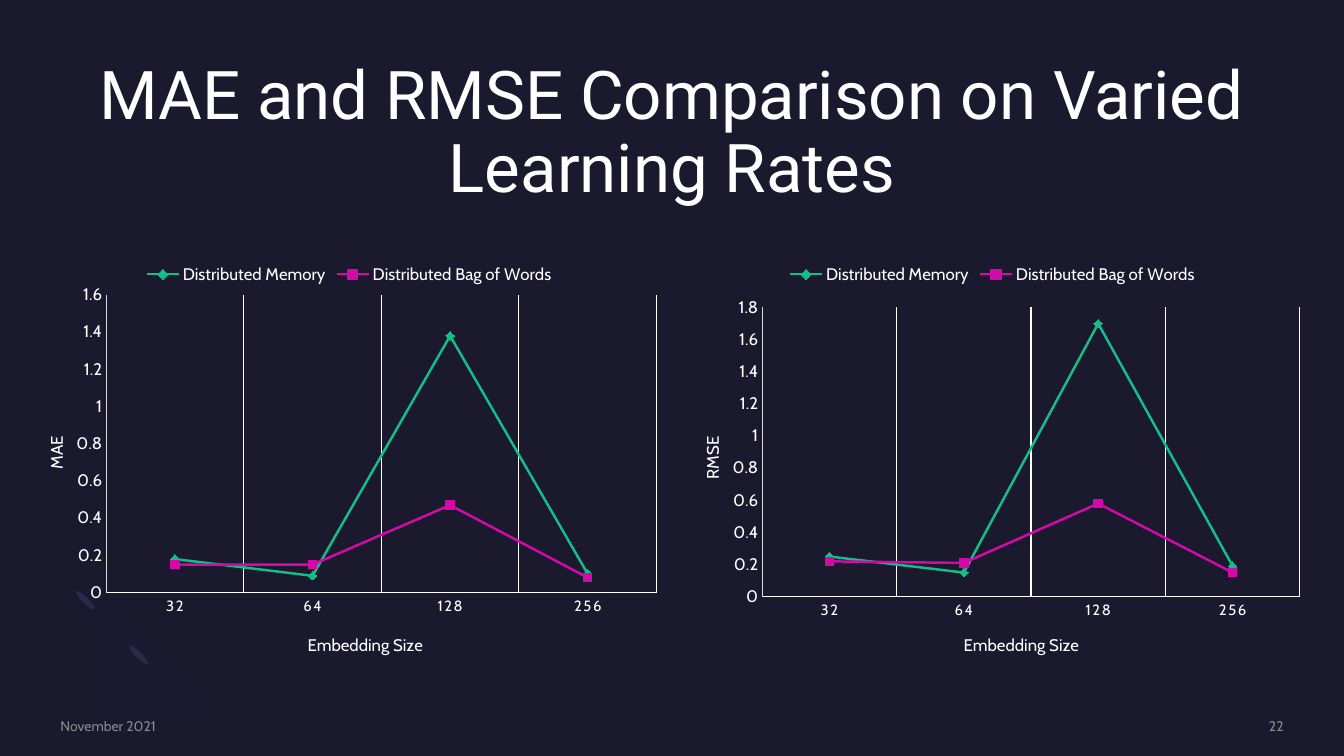
from dataclasses import dataclass
from lxml.etree import SubElement
from pptx import Presentation
from pptx.chart.data import CategoryChartData
from pptx.dml.color import RGBColor
from pptx.enum.chart import XL_CHART_TYPE, XL_LEGEND_POSITION, XL_MARKER_STYLE, XL_TICK_MARK
from pptx.enum.shapes import MSO_SHAPE
from pptx.enum.text import MSO_ANCHOR, PP_ALIGN
from pptx.oxml import parse_xml
from pptx.oxml.ns import nsdecls, qn
from pptx.util import Inches, Pt


@dataclass(frozen=True)
class Theme:
    """Colours, fonts and type sizes of the slide."""
    back: str = "1B192E"
    ink: str = "FFFFFF"
    rule: str = "D9D9D9"
    mute: str = "A6A6A6"
    petal: str = "2C284A"
    arc: str = "7771B2"
    green: str = "13BE89"
    pink: str = "D40AA8"
    head: str = "Roboto"
    body: str = "Cabin"
    title: float = 48
    label: float = 12
    tick: float = 10.6
    small: float = 10


LOOK = Theme()
WIDE, HIGH = 13.33, 7.5
EDGE = 0.6
SPAN = WIDE - 2 * EDGE
SIZES = ("32", "64", "128", "256")
LINES = (
    ("Distributed Memory", LOOK.green, XL_MARKER_STYLE.DIAMOND),
    ("Distributed Bag of Words", LOOK.pink, XL_MARKER_STYLE.SQUARE),
)
CHARTS = (
    dict(name="MAE", top=1.6, rows=((0.18, 0.09, 1.38, 0.1), (0.15, 0.15, 0.47, 0.08)),
         plot=(0.12, 0.1, 0.86, 0.71), side=(0.02, 0.43), foot=(0.43, 0.9)),
    dict(name="RMSE", top=1.8, rows=((0.25, 0.15, 1.7, 0.19), (0.22, 0.21, 0.58, 0.15)),
         plot=(0.14, 0.13, 0.84, 0.69), side=(0.04, 0.43), foot=(0.45, 0.9)),
)


def tint(code):
    """Turn a hex code into a colour."""
    return RGBColor.from_string(code)


def place(box):
    """Turn a box in inches into lengths."""
    return [Inches(n) for n in box]


def style(font, size, code=LOOK.ink, face=LOOK.body):
    """Set size, colour and face of a font."""
    font.size, font.name, font.bold = Pt(size), face, False
    font.color.rgb = tint(code)


def fade(shape, share):
    """Make the colours of a shape partly clear."""
    for node in shape.element.iter(qn("a:srgbClr")):
        SubElement(node, qn("a:alpha")).set("val", str(share * 1000))


def paint(shape, code):
    """Give a shape a plain fill with no line or shadow."""
    shape.shadow.inherit = False
    shape.fill.solid()
    shape.fill.fore_color.rgb = tint(code)
    shape.line.fill.background()


def curve(dots, steps=12):
    """Sample a cubic curve after its first point."""
    for i in range(1, steps + 1):
        t = i / steps
        mix = ((1 - t) ** 3, 3 * t * (1 - t) ** 2, 3 * t * t * (1 - t), t ** 3)
        yield tuple(sum(m * d[k] for m, d in zip(mix, dots)) for k in (0, 1))


def swirl(slide, box):
    """Draw the faint arc and its two petals in a box."""
    left, top, wide, high = box

    def at(x, y):
        return left + x * wide, top + y * high

    outer = [at(*d) for d in ((0.21, 0.79), (0, 0.59), (0.02, 0.24), (0.26, 0))]
    inner = [at(*d) for d in ((0.45, 0.19), (0.32, 0.3), (0.31, 0.49), (0.42, 0.58))]
    tail = [at(*d) for d in ((0.42, 0.58), (0.52, 0.68), (0.7, 0.67), (0.82, 0.56))]
    back = [at(*d) for d in ((1, 0.74), (0.77, 0.97), (0.41, 1), (0.21, 0.79))]
    dots = [*curve(outer), inner[0], *curve(inner), *curve(tail), back[0], *curve(back)]
    form = slide.shapes.build_freeform(*outer[0], scale=Inches(1))
    form.add_line_segments(dots, close=True)
    arc = form.convert_to_shape()
    paint(arc, LOOK.arc)
    fade(arc, 2)
    for x, y in (at(0.85, 0.7), at(0.3, 0.14)):
        petal = slide.shapes.add_shape(MSO_SHAPE.OVAL, *place((x - 0.03, y - 0.13, 0.06, 0.26)))
        petal.rotation = 135
        paint(petal, LOOK.petal)


def write(shape, box, text, align, anchor=MSO_ANCHOR.MIDDLE):
    """Place a shape and set its text; return paragraph and font."""
    shape.left, shape.top, shape.width, shape.height = place(box)
    frame = shape.text_frame
    frame.word_wrap, frame.vertical_anchor = True, anchor
    frame.margin_left = frame.margin_right = frame.margin_top = frame.margin_bottom = 0
    frame.text = text
    para = frame.paragraphs[0]
    para.alignment = align
    return para, para.runs[0].font


def heading(slide, box):
    """Fill the title placeholder."""
    para, font = write(slide.shapes.title, box,
                       "MAE and RMSE Comparison on Varied Learning Rates", PP_ALIGN.CENTER)
    para.line_spacing = 0.9
    style(font, LOOK.title, face=LOOK.head)


def footer(slide, box):
    """Put the date and the page number at the ends of a box."""
    left, top, wide, high = box
    part = wide / 4
    for text, align, x in (("November 2021", PP_ALIGN.LEFT, left),
                           ("22", PP_ALIGN.RIGHT, left + wide - part)):
        area = (x, top, part, high)
        note = slide.shapes.add_textbox(*place(area))
        style(write(note, area, text, align)[1], LOOK.small, LOOK.mute)
        fade(note, 80)


def pin(node, index, inner=False, **spots):
    """Fix a chart part at shares of the chart's size."""
    for old in node.findall(qn("c:layout")):
        node.remove(old)
    layout = parse_xml(f"<c:layout {nsdecls('c')}><c:manualLayout/></c:layout>")
    node.insert(index, layout)
    if inner:
        SubElement(layout[0], qn("c:layoutTarget")).set("val", "inner")
    for key in ("xMode", "yMode"):
        SubElement(layout[0], qn(f"c:{key}")).set("val", "edge")
    for key, share in spots.items():
        SubElement(layout[0], qn(f"c:{key}")).set("val", str(share))


def rig(axis, text, spot, size, code, turn):
    """Format an axis with its title."""
    axis.major_tick_mark = axis.minor_tick_mark = XL_TICK_MARK.NONE
    axis.format.line.width = Pt(0.75)
    axis.format.line.color.rgb = tint(code)
    style(axis.tick_labels.font, size)
    frame = axis.axis_title.text_frame
    frame.text = text
    style(frame.paragraphs[0].runs[0].font, LOOK.label)
    node = axis.axis_title.element
    node.find(".//" + qn("a:bodyPr")).set("rot", str(turn * 60000))
    pin(node, 1, x=spot[0], y=spot[1])


def graph(slide, box, name, top, rows, plot, side, foot):
    """Draw one line chart in a box."""
    data = CategoryChartData(number_format="General")
    data.categories = SIZES
    for (label, _, _), row in zip(LINES, rows):
        data.add_series(label, row)
    chart = slide.shapes.add_chart(XL_CHART_TYPE.LINE_MARKERS, *place(box), data).chart
    style(chart.font, LOOK.small)
    chart.has_title = False
    chart.has_legend = True
    chart.legend.position = XL_LEGEND_POSITION.TOP
    chart.legend.include_in_layout = False
    style(chart.legend.font, LOOK.label)
    base, scale = chart.category_axis, chart.value_axis
    rig(base, "Embedding Size", foot, LOOK.tick, LOOK.ink, 0)
    rig(scale, name, side, LOOK.label, LOOK.rule, -90)
    ticks = chart.element.find(f".//{qn('c:catAx')}/{qn('c:txPr')}")
    ticks.find(".//" + qn("a:defRPr")).set("spc", "120")
    base.has_major_gridlines, scale.has_major_gridlines = True, False
    base.major_gridlines.format.line.width = Pt(0.75)
    base.major_gridlines.format.line.color.rgb = tint(LOOK.ink)
    scale.minimum_scale, scale.maximum_scale, scale.major_unit = 0, top, 0.2
    for line, (_, code, mark) in zip(chart.plots[0].series, LINES):
        line.smooth = False
        line.format.line.width = Pt(1.75)
        line.marker.style, line.marker.size = mark, 6
        line.marker.format.fill.solid()
        line.marker.format.fill.fore_color.rgb = tint(code)
        for part in (line, line.marker):
            part.format.line.color.rgb = tint(code)
    chart.plots[0].vary_by_categories = False
    pin(chart.element.find(".//" + qn("c:plotArea")), 0, True, **dict(zip("xywh", plot)))


def main():
    """Build the slide and save it."""
    deck = Presentation()
    deck.slide_width, deck.slide_height = Inches(WIDE), Inches(HIGH)
    slide = deck.slides.add_slide(deck.slide_layouts[5])
    slide.background.fill.solid()
    slide.background.fill.fore_color.rgb = tint(LOOK.back)
    swirl(slide, (0.56, 5.82, 0.96, 0.97))
    heading(slide, (EDGE, EDGE, SPAN, 1.46))
    footer(slide, (EDGE, 7.12, SPAN, 0.17))
    for i, item in enumerate(CHARTS):
        graph(slide, (0.29 + i * 6.38, 2.51, 6.35, 4.16), **item)
    deck.save("out.pptx")


if __name__ == "__main__":
    main()
